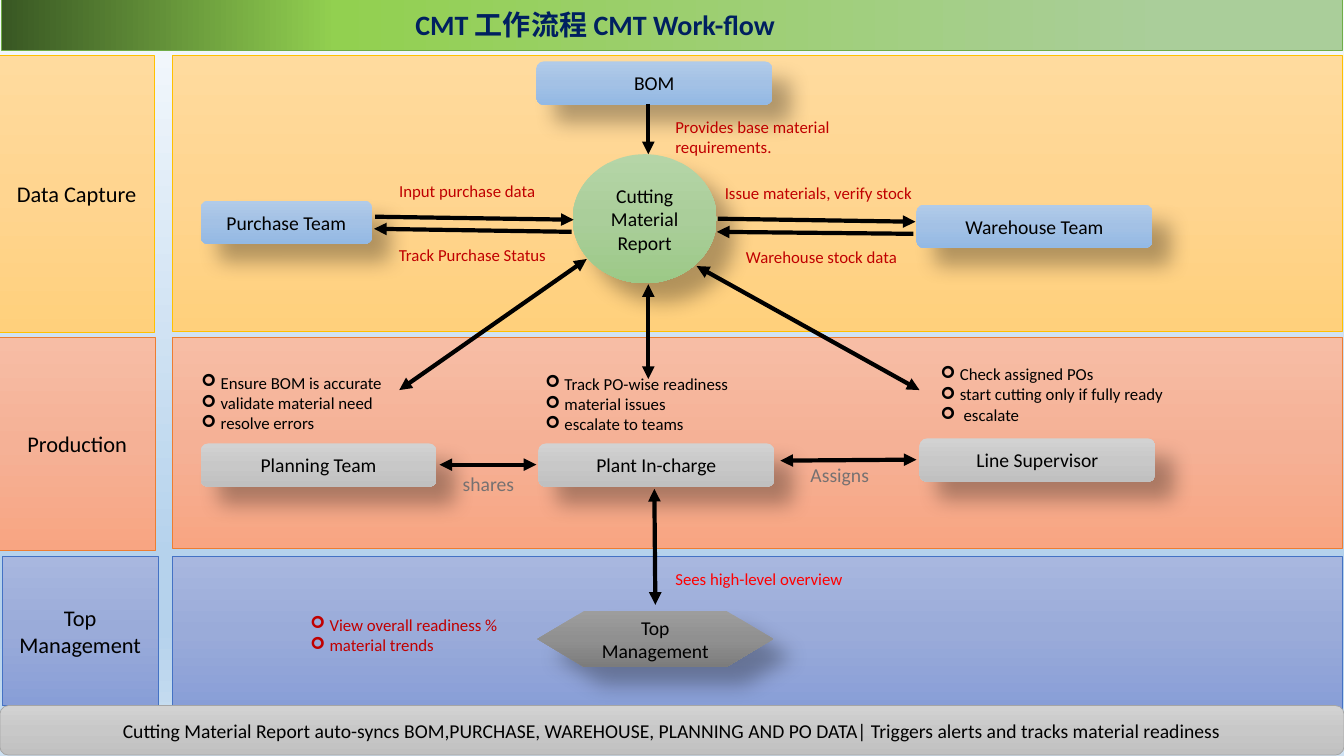
from dataclasses import dataclass

from lxml.etree import SubElement
from pptx import Presentation
from pptx.dml.color import RGBColor
from pptx.enum.shapes import MSO_CONNECTOR, MSO_SHAPE
from pptx.enum.text import MSO_ANCHOR, PP_ALIGN
from pptx.oxml.ns import qn
from pptx.util import Inches, Pt


@dataclass(frozen=True)
class Theme:
    """Colours, gradients and type sizes of the slide."""
    font: str = "Calibri"
    title_size: int = 20
    lane_size: int = 16
    node_size: int = 14
    note_size: int = 12
    line_width: float = 0.5
    arrow_width: float = 3
    black: str = "000000"
    navy: str = "002060"
    note: str = "C00000"
    alert: str = "FF0000"
    muted: str = "767171"
    green_line: str = "70AD47"
    gold_line: str = "FFC000"
    orange_line: str = "ED7D31"
    blue_line: str = "4472C4"
    grey_line: str = "A5A5A5"
    backdrop: tuple = ((0, "F7FAFD"), (74, "B5D2EC"), (83, "B5D2EC"), (100, "CEE1F2"))
    header: tuple = ((13, "AACE9A"), (75, "92D050"), (100, "385723"))
    gold: tuple = ((0, "FFDB9E"), (50, "FFD590"), (100, "FFD07C"))
    orange: tuple = ((0, "F7BDA5"), (50, "F5B196"), (100, "F8A582"))
    blue: tuple = ((0, "A8B7DF"), (50, "9AABD9"), (100, "889ED7"))
    green: tuple = ((0, "B5D5A7"), (50, "AACE9A"), (100, "9CC987"))
    sky: tuple = ((0, "B1CBE9"), (50, "A3C1E5"), (100, "93B9E4"))
    grey: tuple = ((0, "D2D2D2"), (50, "C8C8C8"), (100, "C0C0C0"))
    steel: tuple = ((0, "9D9D9D"), (50, "909090"), (100, "7C7C7C"))


@dataclass(frozen=True)
class Box:
    """A rectangle in inches."""
    x: float
    y: float
    w: float
    h: float

    def inside(self, dx, dy, w, h):
        """Return a box placed relative to this one."""
        return Box(self.x + dx, self.y + dy, w, h)

    def lengths(self):
        """Return left, top, width and height as lengths."""
        return [Inches(v) for v in (self.x, self.y, self.w, self.h)]


T = Theme()


def set_gradient(fill, element, stops, angle=270):
    """Give a fill a linear gradient with any number of stops."""
    fill.gradient()
    fill.gradient_angle = angle
    stop_list = element.find(".//" + qn("a:gsLst"))
    for stop in list(stop_list):
        stop_list.remove(stop)
    for position, color in stops:
        stop = SubElement(stop_list, qn("a:gs"), pos=str(position * 1000))
        SubElement(stop, qn("a:srgbClr"), val=color)


def write(tf, text, size, color, align=PP_ALIGN.LEFT, bullet=False, bold=False):
    """Write one paragraph per line of text."""
    for i, line in enumerate(text.split("\n")):
        p = tf.paragraphs[0] if i == 0 else tf.add_paragraph()
        p.text = line
        p.alignment = align
        if bullet:
            props = p._p.get_or_add_pPr()
            props.set("marL", str(Inches(0.19)))
            props.set("indent", str(-Inches(0.19)))
            SubElement(props, qn("a:buFont"), typeface="Wingdings")
            SubElement(props, qn("a:buChar"), char="➢")
        p.font.name = T.font
        p.font.size = Pt(size)
        p.font.bold = bold
        p.font.color.rgb = RGBColor.from_string(color)


def add_panel(s, box, stops, line=None, kind=MSO_SHAPE.RECTANGLE, angle=270):
    """Add a gradient shape, outlined when a line colour is given."""
    sp = s.shapes.add_shape(kind, *box.lengths())
    sp.shadow.inherit = False
    set_gradient(sp.fill, sp._element.spPr, stops, angle)
    if line:
        sp.line.color.rgb = RGBColor.from_string(line)
        sp.line.width = Pt(T.line_width)
    else:
        sp.line.fill.background()
    sp.text_frame.word_wrap = True
    sp.text_frame.vertical_anchor = MSO_ANCHOR.MIDDLE
    return sp


def add_node(s, box, text, stops, kind=MSO_SHAPE.ROUNDED_RECTANGLE):
    """Add a shadowed workflow node."""
    sp = add_panel(s, box, stops, kind=kind)
    effects = sp._element.spPr.find(qn("a:effectLst"))
    shadow = SubElement(effects, qn("a:outerShdw"), blurRad=str(Pt(15)), dist=str(Pt(18)),
                        dir="2700000", algn="tl", rotWithShape="0")
    color = SubElement(shadow, qn("a:srgbClr"), val=T.black)
    SubElement(color, qn("a:alpha"), val="30000")
    write(sp.text_frame, text, T.node_size, T.black, PP_ALIGN.CENTER)


def add_note(s, box, text, color=T.note, size=T.note_size, wrap=False, bullet=False):
    """Add a text note, bulleted on request."""
    tf = s.shapes.add_textbox(*box.lengths()).text_frame
    tf.word_wrap = wrap
    write(tf, text, size, color, bullet=bullet)


def add_arrow(s, box, x1, y1, x2, y2, both=False):
    """Add an arrow between two points of a box."""
    points = [Inches(v) for v in (box.x + x1, box.y + y1, box.x + x2, box.y + y2)]
    line = s.shapes.add_connector(MSO_CONNECTOR.STRAIGHT, *points)
    line.line.color.rgb = RGBColor.from_string(T.black)
    line.line.width = Pt(T.arrow_width)
    ln = line.line._get_or_add_ln()
    for end in ("a:headEnd", "a:tailEnd") if both else ("a:tailEnd",):
        SubElement(ln, qn(end), type="triangle")
    SubElement(line._element.spPr, qn("a:effectLst"))


def add_lane(s, label_box, box, label, stops, line):
    """Add a lane with its label on the left."""
    sp = add_panel(s, label_box, stops, line)
    write(sp.text_frame, label, T.lane_size, T.black, PP_ALIGN.CENTER)
    add_panel(s, box, stops, line)


def add_header(s, box):
    """Add the title bar."""
    sp = add_panel(s, box, T.header, T.green_line, angle=180)
    sp.text_frame.margin_left = Inches(4.11)
    write(sp.text_frame, "CMT 工作流程 CMT Work-flow", T.title_size, T.navy, bold=True)


def add_data_capture(s, box):
    """Add the report, its sources and the data flows between them."""
    add_node(s, box.inside(3.97, 0.98, 1.43, 1.28), "Cutting Material Report", T.green, MSO_SHAPE.OVAL)
    for x, y, w, text in ((3.61, 0.06, 2.34, "BOM"), (0.28, 1.44, 1.7, "Purchase Team"),
                          (7.38, 1.48, 2.34, "Warehouse Team")):
        add_node(s, box.inside(x, y, w, 0.43), text, T.sky)
    for ends in ((4.72, 0.48, 4.72, 0.98), (2.01, 1.6, 3.98, 1.63), (3.96, 1.75, 2, 1.72),
                 (5.41, 1.62, 7.37, 1.65), (7.35, 1.77, 5.4, 1.75)):
        add_arrow(s, box, *ends)
    for x, y, w, text in ((5.38, 1.21, 2.08, "Issue materials, verify stock"),
                          (2.11, 1.83, 1.79, " Track Purchase Status"),
                          (2.15, 1.19, 1.56, "Input purchase data"),
                          (5.59, 1.85, 1.72, "Warehouse stock data")):
        add_note(s, box.inside(x, y, w, 0.3), text)
    add_note(s, box.inside(4.89, 0.56, 1.9, 0.5), "Provides base material requirements.", wrap=True)


def add_duty_table(s, box, text):
    """Add a one-cell table of duties."""
    table = s.shapes.add_table(1, 1, *box.lengths()).table
    table.first_row = table.horz_banding = False
    table._tbl.tblPr.find(qn("a:tableStyleId")).text = "{2D5ABB26-0587-4C30-8999-92F81FD0307C}"
    cell = table.cell(0, 0)
    cell.fill.background()
    cell.vertical_anchor = MSO_ANCHOR.MIDDLE
    write(cell.text_frame, text, T.note_size, T.black, bullet=True)


def add_production(s, box):
    """Add the production teams, their duties and links."""
    for x, y, text in ((0.28, 1.05, "Planning Team"), (3.63, 1.05, "Plant In-charge"),
                       (7.41, 1, "Line Supervisor")):
        add_node(s, box.inside(x, y, 2.34, 0.43), text, T.grey)
    for x, y, w, text in (
            (0.19, 0.3, 2.06, "Ensure BOM is accurate\nvalidate material need\nresolve errors"),
            (3.6, 0.31, 3.02, "Track PO-wise readiness\nmaterial issues\nescalate to teams")):
        add_note(s, box.inside(x, y, w, 0.71), text, T.black, wrap=True, bullet=True)
    add_duty_table(s, box.inside(7.52, 0.1, 3.35, 0.94),
                   "Check assigned POs\nstart cutting only if fully ready\n escalate")
    add_arrow(s, box, 2.65, 1.26, 3.61, 1.26, both=True)
    add_arrow(s, box, 6.03, 1.22, 7.38, 1.21, both=True)
    add_note(s, box.inside(2.78, 1.28, 0.72, 0.34), "shares", T.muted, T.node_size)
    add_note(s, box.inside(6.23, 1.19, 0.79, 0.34), "Assigns", T.muted, T.node_size)


def add_top_management(s, box):
    """Add the management node and its notes."""
    add_node(s, box.inside(3.62, 0.54, 2.34, 0.56), "Top Management", T.steel,
             MSO_SHAPE.FLOWCHART_PREPARATION)
    add_note(s, box.inside(1.27, 0.53, 2.27, 0.5), "View overall readiness %\nmaterial trends",
             wrap=True, bullet=True)
    add_note(s, box.inside(4.89, 0.07, 2.86, 0.3), "Sees high-level overview", T.alert, wrap=True)


def add_lane_links(s, box):
    """Add the two-way arrows that cross between lanes."""
    for ends in ((6.43, 2.82, 6.43, 3.76), (6.49, 4.85, 6.5, 6),
                 (5.82, 2.57, 3.96, 3.87), (6.91, 2.64, 9.12, 3.87)):
        add_arrow(s, box, *ends, both=True)


def add_footer(s, box):
    """Add the summary bar."""
    sp = add_panel(s, box, T.grey, T.grey_line, MSO_SHAPE.ROUNDED_RECTANGLE)
    write(sp.text_frame, "Cutting Material Report auto-syncs BOM,PURCHASE, WAREHOUSE, PLANNING AND PO DATA| "
          "Triggers alerts and tracks material readiness", T.node_size, T.black, PP_ALIGN.CENTER)


def main():
    """Build and save the slide."""
    prs = Presentation()
    prs.slide_width, prs.slide_height = Inches(13.33), Inches(7.5)
    s = prs.slides.add_slide(prs.slide_layouts[6])
    set_gradient(s.background.fill, s._element, T.backdrop)
    data, production, top = (Box(1.71, y, 11.6, h) for y, h in ((0.55, 2.74), (3.35, 2.09), (5.52, 1.51)))
    add_header(s, Box(0.01, -0.01, 13.3, 0.51))
    add_lane(s, Box(-0.01, 0.55, 1.54, 2.75), data, "Data Capture", T.gold, T.gold_line)
    add_lane(s, Box(-0.01, 3.35, 1.55, 2.11), production, "Production", T.orange, T.orange_line)
    add_lane(s, Box(0.02, 5.52, 1.55, 1.48), top, "Top\nManagement", T.blue, T.blue_line)
    add_data_capture(s, data)
    add_production(s, production)
    add_top_management(s, top)
    add_lane_links(s, Box(0, 0, 13.33, 7.5))
    add_footer(s, Box(0, 7, 13.33, 0.49))
    prs.save("out.pptx")


if __name__ == "__main__":
    main()
